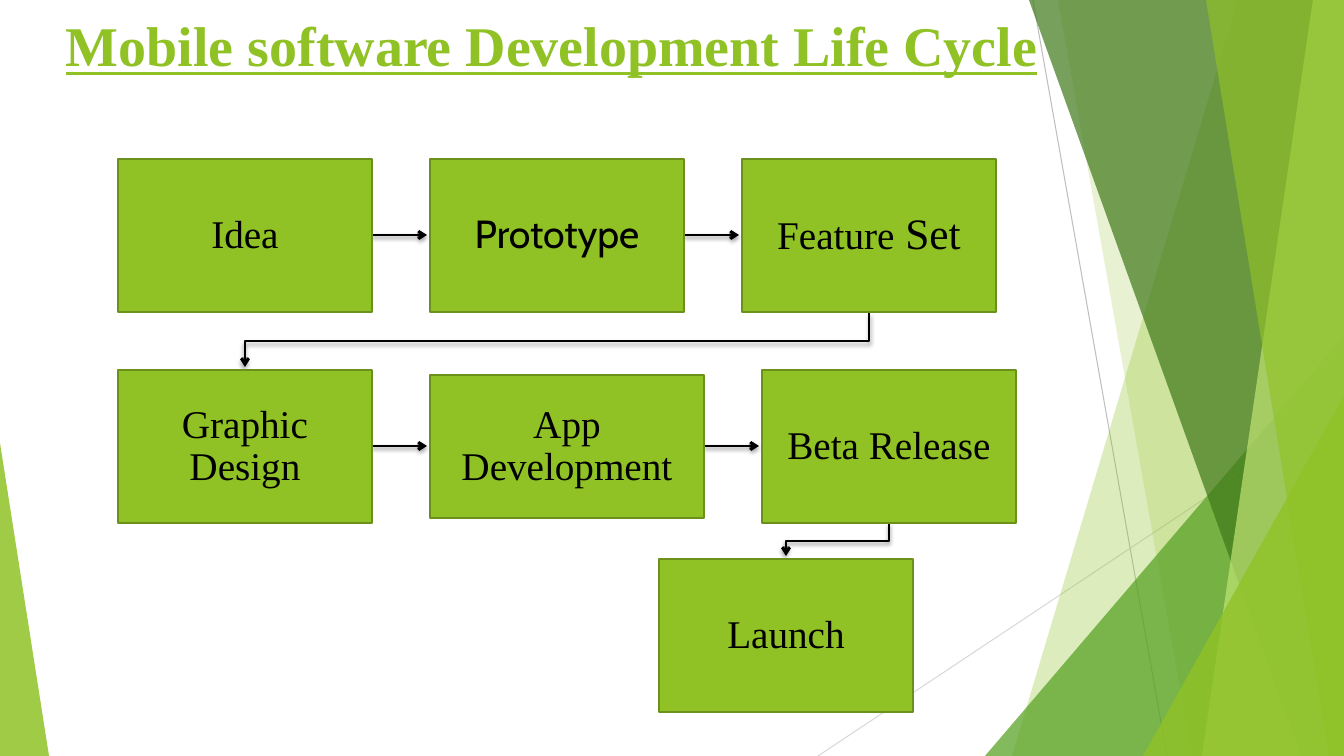
from dataclasses import dataclass
from typing import Optional, Union

import lxml.etree as etree
import pptx
import pptx.dml.color
import pptx.enum.shapes
import pptx.enum.text
import pptx.oxml.ns
import pptx.util

RGBColor = pptx.dml.color.RGBColor
Shapes = pptx.enum.shapes.MSO_SHAPE
qn = pptx.oxml.ns.qn
Point = tuple[int, int]

PIXEL = 914400 / 100.8
WIDTH, HEIGHT = 1344, 756
SERIF = "Times New Roman"

LIME = RGBColor(0x90, 0xC2, 0x26)
PALE_LIME = RGBColor(0xC0, 0xE4, 0x74)
GREEN = RGBColor(0x54, 0xA0, 0x21)
FOREST = RGBColor(0x3F, 0x78, 0x19)
OLIVE = RGBColor(0x6B, 0x90, 0x1C)
BLACK = RGBColor(0, 0, 0)
GREY = RGBColor(0xBF, 0xBF, 0xBF)
LIGHT_GREY = RGBColor(0xD9, 0xD9, 0xD9)


@dataclass(frozen=True)
class Wedge:
    """Full-height band from a slanted left side to the right slide edge."""
    top_x: int
    bottom_x: int
    color: RGBColor
    opacity: int


@dataclass(frozen=True)
class Spike:
    """Right triangle standing on the bottom slide edge."""
    left: int
    top: int
    width: int
    apex: float
    color: RGBColor
    opacity: int


@dataclass(frozen=True)
class Stage:
    """One step of the life cycle."""
    label: str
    left: int
    top: int
    width: int = 254
    height: int = 153
    font: str = SERIF
    large_ending: Optional[str] = None

    @property
    def right(self) -> int:
        return self.left + self.width

    @property
    def bottom(self) -> int:
        return self.top + self.height

    @property
    def center(self) -> Point:
        return self.left + self.width // 2, self.top + self.height // 2


FACETS = [
    Wedge(1238, 1012, LIME, 30),
    Wedge(1058, 1192, LIME, 20),
    Spike(985, 336, 359, 1, GREEN, 72),
    Wedge(1029, 1301, FOREST, 70),
    Wedge(1313, 1202, PALE_LIME, 70),
    Wedge(1206, 1329, LIME, 65),
    Spike(1143, 396, 201, 1, LIME, 80),
    Spike(0, 443, 49, 0, LIME, 85),
]

FIRST_X, PITCH = 118, 312
ROW_1, ROW_2, ROW_3 = 159, 370, 559
STAGES = [
    Stage("Idea", FIRST_X, ROW_1),
    Stage("Prototype", FIRST_X + PITCH, ROW_1, font="Cabin"),
    Stage("Feature", FIRST_X + 2 * PITCH, ROW_1, large_ending=" Set"),
    Stage("Graphic Design", FIRST_X, ROW_2),
    Stage("App Development", FIRST_X + PITCH, ROW_2 + 5, 274, 143),
    Stage("Beta Release", 762, ROW_2),
    Stage("Launch", 659, ROW_3),
]
ARROW_GAP = 3


def px(pixels: int) -> int:
    """Turn pixels into EMU."""
    return pptx.util.Emu(round(pixels * PIXEL))


def add_outline(slide, points: list[Point], close: bool):
    """Draw a freeform through the points."""
    builder = slide.shapes.build_freeform(*points[0], scale=PIXEL)
    builder.add_line_segments(points[1:], close=close)
    outline = builder.convert_to_shape()
    outline.shadow.inherit = False
    return outline


def add_straight(slide, start: Point, end: Point, color: RGBColor, points: float):
    """Draw a straight line without a shadow."""
    line = slide.shapes.add_connector(
        pptx.enum.shapes.MSO_CONNECTOR.STRAIGHT, *map(px, start + end))
    line.line.color.rgb = color
    line.line.width = pptx.util.Pt(points)
    etree.SubElement(line.element.spPr, qn("a:effectLst"))
    return line


def add_facet(slide, facet: Union[Wedge, Spike]) -> None:
    """Draw one translucent background facet."""
    if isinstance(facet, Wedge):
        shape = add_outline(slide, [(facet.top_x, 0), (WIDTH, 0), (WIDTH, HEIGHT),
                                    (facet.bottom_x, HEIGHT)], True)
    else:
        shape = slide.shapes.add_shape(
            Shapes.ISOSCELES_TRIANGLE, px(facet.left), px(facet.top),
            px(facet.width), px(HEIGHT - facet.top))
        shape.adjustments[0] = facet.apex
        shape.shadow.inherit = False
    shape.fill.solid()
    shape.fill.fore_color.rgb = facet.color
    shape.line.fill.background()
    tint = shape.element.spPr.find(qn("a:solidFill")).find(qn("a:srgbClr"))
    etree.SubElement(tint, qn("a:alpha"), val=str(facet.opacity * 1000))


def add_title(slide, text: str) -> None:
    """Write the underlined slide title."""
    title = slide.shapes.add_textbox(0, 0, px(1123), px(163))
    frame = title.text_frame
    frame.word_wrap = True
    frame.margin_left, frame.margin_top = px(66), px(11)
    heading = frame.paragraphs[0]
    heading.text = text
    heading.font.name, heading.font.size = SERIF, pptx.util.Pt(40)
    heading.font.bold = heading.font.underline = True
    heading.font.color.rgb = LIME


def add_stage(slide, stage: Stage) -> None:
    """Draw one labelled stage box."""
    box = slide.shapes.add_shape(
        Shapes.RECTANGLE, *map(px, (stage.left, stage.top, stage.width, stage.height)))
    box.shadow.inherit = False
    box.fill.solid()
    box.fill.fore_color.rgb = LIME
    box.line.color.rgb = OLIVE
    box.line.width = pptx.util.Pt(1.5)
    frame = box.text_frame
    frame.word_wrap = True
    frame.vertical_anchor = pptx.enum.text.MSO_ANCHOR.MIDDLE
    frame.margin_left = frame.margin_right = px(22)
    frame.margin_top = frame.margin_bottom = px(22)
    label = frame.paragraphs[0]
    label.text = stage.label
    label.alignment = pptx.enum.text.PP_ALIGN.CENTER
    label.line_spacing = 0.9
    label.font.name, label.font.size = stage.font, pptx.util.Pt(28)
    label.font.color.rgb = BLACK
    if stage.large_ending:
        ending = label.add_run()
        ending.text = stage.large_ending
        ending.font.size = pptx.util.Pt(31)


def add_flow(slide, source: Stage, target: Stage) -> None:
    """Draw the arrow from one stage to the next, bent when the row changes."""
    x, y = source.center
    if target.left > source.right:
        flow = add_straight(slide, (source.right, y), (target.left - ARROW_GAP, y), BLACK, 2)
    else:
        turn, end_x = (source.bottom + target.top) // 2, target.center[0]
        flow = add_outline(slide, [(x, source.bottom), (x, turn), (end_x, turn),
                                   (end_x, target.top - ARROW_GAP)], False)
        flow.fill.background()
        flow.line.color.rgb = BLACK
        flow.line.width = pptx.util.Pt(2)
    properties = flow.element.spPr
    etree.SubElement(properties.find(qn("a:ln")), qn("a:tailEnd"), type="arrow")
    shadow = etree.SubElement(properties.find(qn("a:effectLst")), qn("a:outerShdw"),
                              blurRad="38100", dist="25400", dir="5400000")
    shade = etree.SubElement(shadow, qn("a:srgbClr"), val=str(BLACK))
    etree.SubElement(shade, qn("a:alpha"), val="35000")


def main() -> None:
    """Build and save the slide."""
    deck = pptx.Presentation()
    deck.slide_width, deck.slide_height = px(WIDTH), px(HEIGHT)
    slide = deck.slides.add_slide(deck.slide_layouts[6])
    add_straight(slide, (1033, 0), (1167, HEIGHT), GREY, 0.75)
    add_straight(slide, (WIDTH, 406), (818, HEIGHT), LIGHT_GREY, 0.75)
    for facet in FACETS:
        add_facet(slide, facet)
    add_title(slide, "Mobile software Development Life Cycle")
    for source, target in zip(STAGES, STAGES[1:]):
        add_flow(slide, source, target)
    for stage in STAGES:
        add_stage(slide, stage)
    deck.save("out.pptx")


main()
